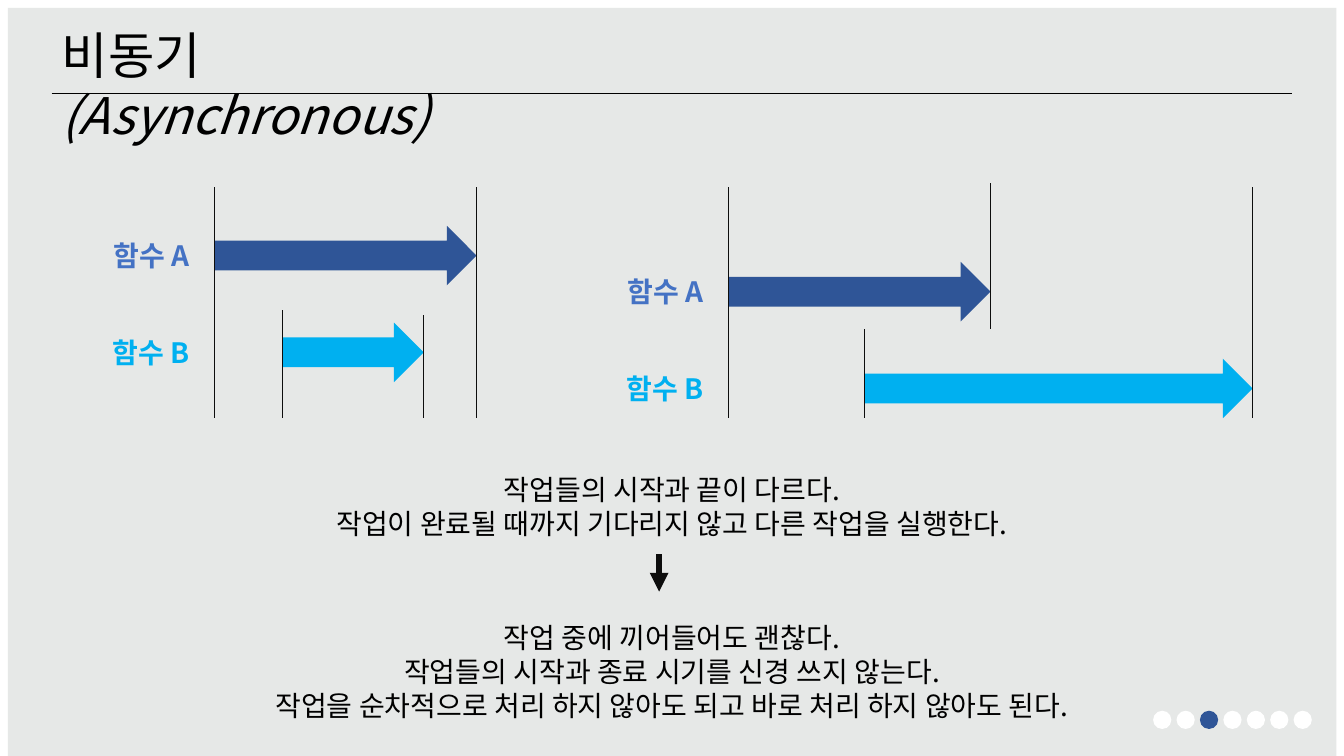
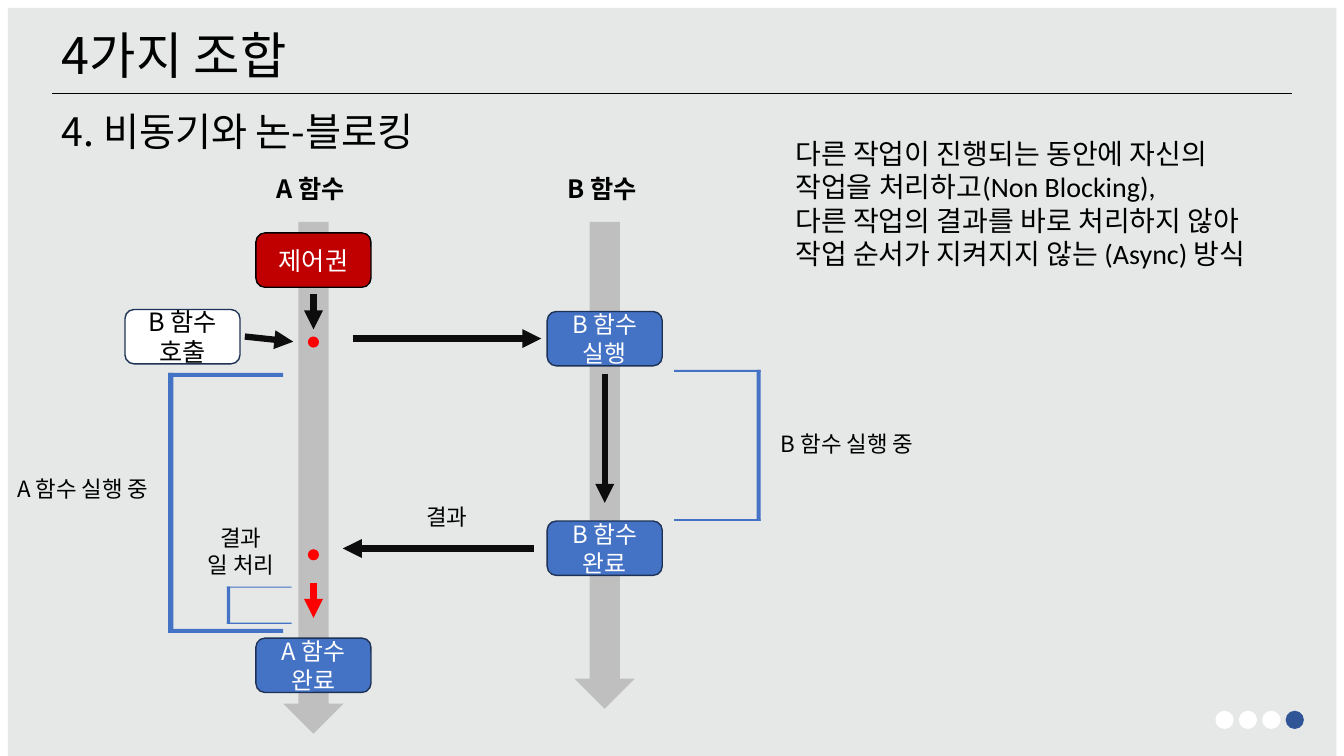
from dataclasses import dataclass

from pptx import Presentation
from pptx.dml.color import RGBColor
from pptx.enum import shapes as sh, text as tx
from pptx.oxml.ns import qn
from pptx.util import Cm, Pt
from lxml import etree


@dataclass(frozen=True)
class Theme:
    panel: str = "E6E8E7"
    black: str = "000000"
    ink: str = "0D0D0D"
    white: str = "FFFFFF"
    navy: str = "2F5597"
    blue: str = "4472C4"
    sky: str = "00B0F0"
    edge: str = "1E3256"
    lane: str = "BFBFBF"
    control: str = "C00000"
    red: str = "FF0000"
    font: str = "Noto Sans CJK KR"
    latin: str = "Calibri"
    title: int = 36
    subtitle: int = 28
    body: int = 20
    label: int = 18
    card: int = 17
    note: int = 16
    hairline: float = 0.5
    marker: float = 0.75
    outline: float = 1
    arrow: float = 4.5


@dataclass(frozen=True)
class Task:
    """One function on a timeline; spans are the heights of its two markers."""
    name: str
    label_color: str
    fill: str
    start: float
    length: float
    start_span: tuple
    end_span: tuple


T = Theme()
LEFT, CENTER = tx.PP_ALIGN.LEFT, tx.PP_ALIGN.CENTER
KIND = sh.MSO_SHAPE


def rgb(value):
    return RGBColor.from_string(value)


def style_text(frame, size, color=T.black, align=LEFT, bold=False, latin=T.font):
    for paragraph in frame.paragraphs:
        paragraph.alignment = align
        paragraph.line_spacing = 1.0
        paragraph.space_before = paragraph.space_after = Pt(0)
        for run in paragraph.runs:
            font = run.font
            font.size, font.bold, font.name = Pt(size), bold, latin
            font.color.rgb = rgb(color)
            properties = run._r.get_or_add_rPr()
            if properties.find(qn("a:ea")) is None:
                etree.SubElement(properties, qn("a:ea")).set("typeface", T.font)


def place_text(holder, box, lines, size, align=LEFT, latin=T.font):
    """Move a title or body placeholder and fill it without bullets."""
    holder.left, holder.top, holder.width, holder.height = map(Cm, box)
    frame = holder.text_frame
    frame.text = "\n".join(lines)
    frame.word_wrap = True
    frame.auto_size = tx.MSO_AUTO_SIZE.NONE
    frame.vertical_anchor = tx.MSO_ANCHOR.TOP
    for paragraph in frame.paragraphs:
        properties = paragraph._p.get_or_add_pPr()
        properties.set("marL", "0")
        properties.set("indent", "0")
        etree.SubElement(properties, qn("a:buNone"))
    style_text(frame, size, align=align, latin=latin)
    return frame


class Region:
    """Draws parts relative to the top left corner of a box, in cm."""

    def __init__(self, slide, left=0, top=0):
        self.shapes = slide.shapes
        self.left, self.top = left, top

    def at(self, x, y):
        return Cm(self.left + x), Cm(self.top + y)

    def shape(self, kind, x, y, width, height, fill, edge=None):
        part = self.shapes.add_shape(kind, *self.at(x, y), Cm(width), Cm(height))
        part.shadow.inherit = False
        part.fill.solid()
        part.fill.fore_color.rgb = rgb(fill)
        if edge:
            part.line.color.rgb = rgb(edge)
            part.line.width = Pt(T.outline)
        else:
            part.line.fill.background()
        return part

    def label(self, words, x, y, width, height, size, **style):
        frame = self.shapes.add_textbox(*self.at(x, y), Cm(width), Cm(height)).text_frame
        frame.word_wrap = True
        frame.text = words
        style_text(frame, size, **style)

    def line(self, start, end, color=T.ink, weight=T.marker):
        rule = self.shapes.add_connector(
            sh.MSO_CONNECTOR.STRAIGHT, *self.at(*start), *self.at(*end))
        rule.line.color.rgb = rgb(color)
        rule.line.width = Pt(weight)
        etree.SubElement(rule._element.spPr, qn("a:effectLst"))
        return rule

    def arrow(self, start, end, color=T.ink):
        rule = self.line(start, end, color, T.arrow)
        stroke = rule._element.spPr.find(qn("a:ln"))
        etree.SubElement(stroke, qn("a:tailEnd")).set("type", "triangle")

    def card(self, words, center, y, fill=T.blue, edge=T.edge,
             size=T.card, color=T.white):
        width, height = 2.9, 1.37
        part = self.shape(KIND.ROUNDED_RECTANGLE, center - width / 2, y,
                          width, height, fill, edge)
        part.text_frame.text = words
        part.text_frame.word_wrap = True
        part.text_frame.vertical_anchor = tx.MSO_ANCHOR.MIDDLE
        style_text(part.text_frame, size, color, CENTER)

    def dot(self, x, y, size, fill):
        self.shape(KIND.OVAL, x - size / 2, y - size / 2, size, size, fill)

    def bracket(self, x, y, width, height, spine, arm, spine_right=False):
        for arm_top in (y, y + height - arm):
            self.shape(KIND.RECTANGLE, x, arm_top, width, arm, T.blue)
        spine_x = x + width - spine if spine_right else x
        self.shape(KIND.RECTANGLE, spine_x, y, spine, height, T.blue)


def page_dots(slide, left, count, current):
    size, pitch = 0.46, 0.59
    dots = Region(slide, left, 17.91)
    for index in range(count):
        dots.dot(index * pitch + size / 2, size / 2, size,
                 T.navy if index == current else T.white)


def add_page(deck, title):
    """Slide with grey panel, title and rule, and two body placeholders."""
    slide = deck.slides.add_slide(deck.slide_layouts[3])
    page = Region(slide)
    panel = page.shape(KIND.RECTANGLE, 0.2, 0.2, 33.48, 18.9, T.panel)
    slide.shapes._spTree.insert(2, panel._element)
    heading = place_text(slide.shapes.title, (1.3, 0.48, 13.5, 1.8), [title], T.title)
    page.line((1.3, 2.36), (32.56, 2.36), T.black, T.hairline)
    return slide, heading, page


def timeline(slide, left, top, first_arrow, tasks):
    """Labelled arrows on rows, with a marker at each start and end."""
    chart = Region(slide, left, top)
    row_pitch, arrow_height = 2.44, 1.5
    for row, task in enumerate(tasks):
        y = first_arrow + row * row_pitch
        chart.label(task.name, 0, y + 0.2, 3.05, 1.12, T.body,
                    color=task.label_color, align=CENTER, bold=True)
        chart.shape(KIND.RIGHT_ARROW, task.start, y, task.length, arrow_height, task.fill)
        for x, (high, low) in ((task.start, task.start_span),
                               (task.start + task.length, task.end_span)):
            chart.line((x, high), (x, low))


def async_slide(deck):
    slide, heading, page = add_page(deck, "비동기 ")
    suffix = heading.paragraphs[0].add_run()
    suffix.text = "(Asynchronous)"
    style_text(heading, T.title)
    suffix.font.italic = True

    # Two timelines: B inside A, and B outlasting A
    bottom = 5.82
    full = (0, bottom)
    a_style = ("함수 A", T.blue, T.navy, 3.12, 6.6)
    b_style = ("함수 B", T.sky, T.sky)
    timeline(slide, 2.29, 4.72, 0.97, [
        Task(*a_style, full, full),
        Task(*b_style, 4.83, 3.56, (3.1, bottom), (3.23, bottom))])
    timeline(slide, 15.24, 4.72, 1.88, [
        Task(*a_style, full, (-0.1, 3.58)),
        Task(*b_style, 6.55, 9.78, (3.58, bottom), full)])

    # Statement and what follows from it
    statement, consequence = list(slide.placeholders)[1:]
    place_text(statement, (5.49, 11.79, 22.89, 1.96), [
        "작업들의 시작과 끝이 다르다.",
        "작업이 완료될 때까지 기다리지 않고 다른 작업을 실행한다."], T.body, CENTER)
    page.arrow((16.61, 13.97), (16.61, 14.91))
    place_text(consequence, (5.49, 15.52, 22.89, 2.82), [
        "작업 중에 끼어들어도 괜찮다.",
        "작업들의 시작과 종료 시기를 신경 쓰지 않는다.",
        "작업을 순차적으로 처리 하지 않아도 되고 바로 처리 하지 않아도 된다."],
        T.body, CENTER)
    page_dots(slide, 29.06, 7, 2)


def call_flow(slide, left, top):
    """Two lanes with the calls and results that pass between them."""
    flow = Region(slide, left, top)
    lane_a, lane_b = 7.72, 15.06

    # Lanes
    for name, axis, length in (("A 함수", lane_a, 12.9), ("B 함수", lane_b, 12.27)):
        flow.shape(KIND.DOWN_ARROW, axis - 0.76, 1.35, 1.52, length, T.lane)
        flow.label(name, axis - 1.19, 0, 2.67, 1.02, T.label, bold=True)

    # Steps
    flow.card("제어권", lane_a, 1.63, T.control, T.black, T.label)
    flow.card("B 함수 호출", 4.42, 3.56, T.white, size=T.label, color=T.black)
    for words, axis, y in (("B 함수 실행", lane_b, 3.61),
                           ("B 함수 완료", lane_b, 8.89),
                           ("A 함수 완료", lane_a, 11.84)):
        flow.card(words, axis, y)

    # Moves between steps
    for start, end in (((5.99, 4.24), (7.21, 4.37)),
                       ((lane_a, 3.18), (lane_a, 4.06)),
                       ((8.71, 4.29), (13.46, 4.29)),
                       ((lane_b, 5.18), (lane_b, 8.43)),
                       ((13.28, 9.58), (8.46, 9.58))):
        flow.arrow(start, end)
    flow.arrow((lane_a, 10.44), (lane_a, 11.33), T.red)
    for y in (4.38, 9.74):
        flow.dot(lane_a, y, 0.28, T.red)

    # Running periods
    flow.bracket(4.06, 5.16, 2.9, 6.55, 0.13, 0.1)
    flow.bracket(16.81, 5.08, 2.18, 3.81, 0.1, 0.05, spine_right=True)
    flow.bracket(5.54, 10.54, 1.63, 0.94, 0.08, 0.03)
    flow.label("A 함수 실행 중", 0, 7.62, 4.65, 0.94, T.note)
    flow.label("B 함수 실행 중", 19.25, 6.48, 4.34, 0.94, T.note)
    flow.label("결과", 8.76, 8.31, 4.65, 0.94, T.note, align=CENTER)
    flow.label("결과\n일 처리", 4.67, 8.84, 2.44, 1.63, T.note, align=CENTER)


def combination_slide(deck):
    slide, _, _ = add_page(deck, "4가지 조합")
    subtitle, description = list(slide.placeholders)[1:]
    place_text(subtitle, (1.3, 2.57, 12, 1.45), ["4. 비동기와 논-블로킹"], T.subtitle)
    place_text(description, (19.79, 3.3, 12.78, 3.68), [
        "다른 작업이 진행되는 동안에 자신의 작업을 처리하고(Non Blocking),",
        "다른 작업의 결과를 바로 처리하지 않아 작업 순서가 지켜지지 않는 (Async) 방식"],
        T.body, latin=T.latin)
    call_flow(slide, 0.18, 4.24)
    page_dots(slide, 30.63, 4, 3)


def main():
    deck = Presentation()
    deck.slide_width, deck.slide_height = Cm(33.87), Cm(19.05)
    async_slide(deck)
    combination_slide(deck)
    deck.save("out.pptx")


if __name__ == "__main__":
    main()
